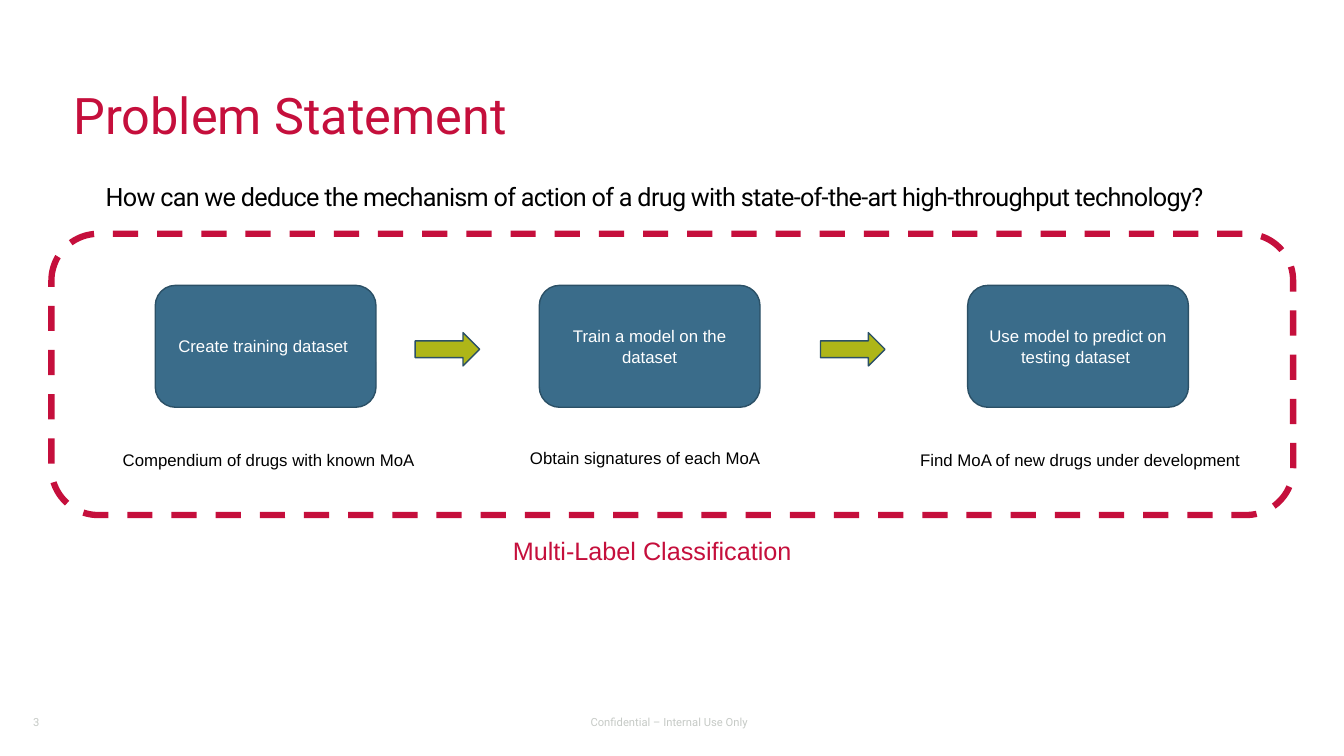
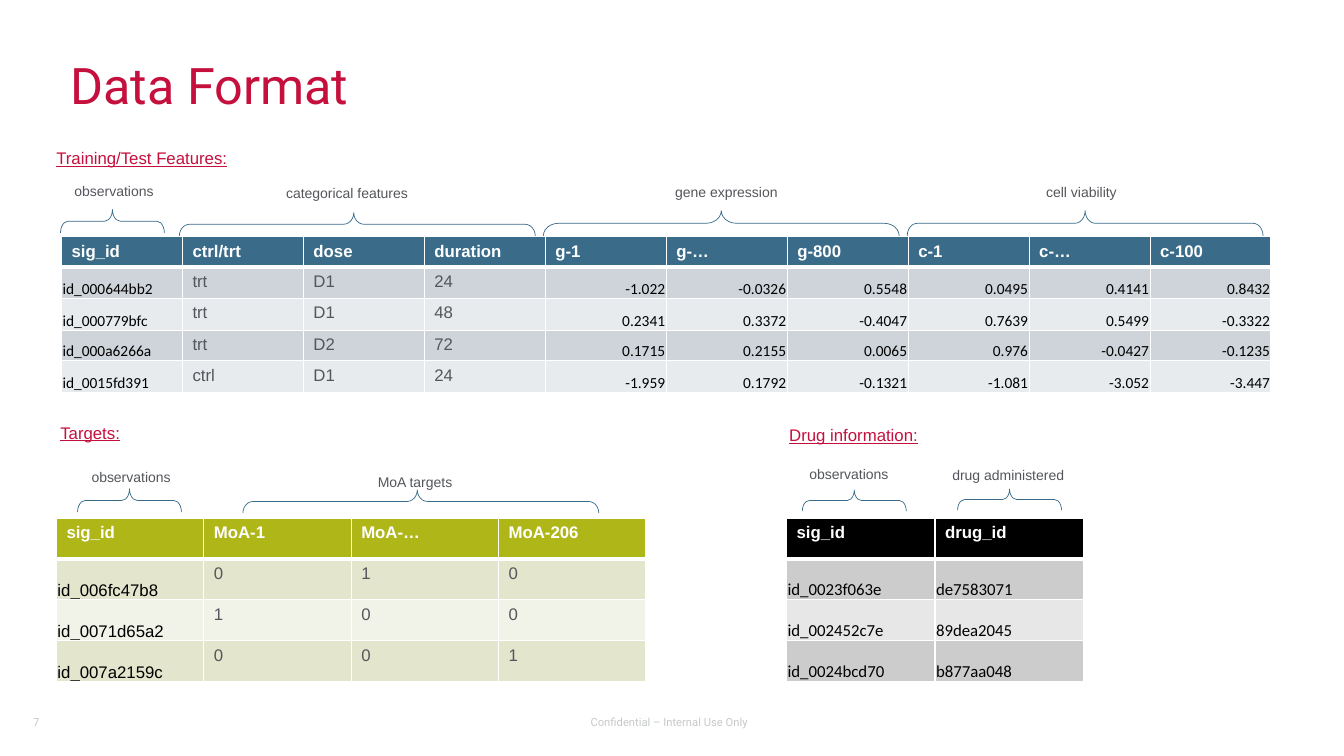
from dataclasses import dataclass
from typing import NamedTuple

from lxml.etree import SubElement
from pptx import Presentation
from pptx.dml.color import RGBColor
from pptx.enum.dml import MSO_LINE
from pptx.enum.shapes import MSO_SHAPE
from pptx.enum.text import MSO_ANCHOR, PP_ALIGN
from pptx.oxml.ns import qn
from pptx.util import Pt

COLORS = {
    "crimson": "C50F3C",
    "blue": "3A6C8A",
    "dark blue": "2B5066",
    "olive": "AEB618",
    "text": "54565B",
    "footer": "C6CAC6",
    "black": "000000",
    "white": "FFFFFF",
    "blue band": "CED4DA",
    "blue band light": "E8EBED",
    "olive band": "E3E5CC",
    "olive band light": "F2F3E8",
    "gray band": "CCCCCC",
    "gray band light": "E7E7E7",
}


class TextStyle(NamedTuple):
    font: dict
    color: str
    paragraph: dict = {}
    frame: dict = {}


MIDDLE = {"vertical_anchor": MSO_ANCHOR.MIDDLE}
CENTER = {"alignment": PP_ALIGN.CENTER}
RIGHT = {"alignment": PP_ALIGN.RIGHT}
TIGHT_BOTTOM = {
    "vertical_anchor": MSO_ANCHOR.BOTTOM,
    "margin_left": Pt(0.75),
    "margin_top": Pt(0.75),
    "margin_right": Pt(0.75),
    "margin_bottom": Pt(0),
}
ARIAL_10, ARIAL_12, ARIAL_18 = ({"name": "Arial", "size": Pt(n)} for n in (10, 12, 18))
CALIBRI_11, CALIBRI_12 = ({"name": "Calibri", "size": Pt(n)} for n in (11, 12))
ROBOTO_8, ROBOTO_18, ROBOTO_36 = ({"name": "Roboto", "size": Pt(n)} for n in (8, 18, 36))

STYLES = {
    "title": TextStyle(ROBOTO_36, "crimson", {"line_spacing": 0.8},
                       {"vertical_anchor": MSO_ANCHOR.BOTTOM}),
    "footer": TextStyle(ROBOTO_8, "footer", CENTER, MIDDLE),
    "page": TextStyle(ROBOTO_8, "footer", {}, MIDDLE),
    "question": TextStyle(ROBOTO_18, "black", {"line_spacing": 1.1, "space_after": Pt(6)}),
    "step": TextStyle(ARIAL_12, "white", CENTER, MIDDLE),
    "caption": TextStyle(ARIAL_12, "black"),
    "method": TextStyle(ARIAL_18, "crimson", {}, {"word_wrap": False}),
    "heading": TextStyle(ARIAL_12 | {"underline": True}, "crimson", {}, {"word_wrap": False}),
    "label": TextStyle(ARIAL_10, "text"),
    "header cell": TextStyle(ARIAL_12 | {"bold": True}, "white"),
    "value cell": TextStyle(ARIAL_12, "text"),
    "number cell": TextStyle(CALIBRI_11, "black", RIGHT, TIGHT_BOTTOM),
    "feature id": TextStyle(CALIBRI_11, "black", {}, TIGHT_BOTTOM),
    "target id": TextStyle(ARIAL_12, "black", {}, TIGHT_BOTTOM),
    "drug id": TextStyle(CALIBRI_12, "black", {}, TIGHT_BOTTOM),
}


@dataclass
class Step:
    left: float
    text: str
    caption: str
    caption_left: float
    caption_top: float
    caption_width: float


@dataclass
class Brace:
    """A brace opening downwards, with its label above; places are those on the slide."""
    center_x: float
    center_y: float
    width: float
    height: float
    curl: float
    tip: float
    label: str
    label_left: float
    label_top: float
    label_width: float


@dataclass
class DataTable:
    heading: str
    heading_left: float
    heading_top: float
    left: float
    top: float
    column_width: float
    row_heights: list[float]
    header_fill: str
    band: str
    column_styles: list[str]
    rows: list[list[str]]


STEPS = [
    Step(110.9, "Create training dataset ", "Compendium of drugs with known MoA", 80.6, 317.5, 228.2),
    Step(385.2, "Train a model on the dataset", "Obtain signatures of each MoA", 371.5, 316.1, 185),
    Step(691.2, "Use model to predict on testing dataset ", "Find MoA of new drugs under development",
         650.2, 317.5, 272.9),
]
STEP_ARROW_LEFTS = [296.6, 586.1]

BRACES = [
    Brace(80.3, 158, 74.2, 16.6, 0.33, 0.5, "observations", 46.1, 126.7, 86.4),
    Brace(255.2, 160.2, 254.2, 16.6, 0.44, 0.51, "categorical features", 197.3, 128.2, 110.2),
    Brace(515.2, 159.5, 254.2, 18, 0.6, 0.5, "gene expression", 475.2, 127.4, 110.2),
    Brace(775.1, 159.5, 254.2, 18, 0.4, 0.5, "cell viability", 740.2, 127.4, 110.2),
    Brace(92.5, 357.5, 74.2, 16.6, 0.33, 0.5, "observations", 58.3, 331.2, 86.4),
    Brace(300.6, 358.2, 254.2, 16.6, 0.44, 0.51, "MoA targets", 262.8, 334.8, 86.4),
    Brace(610.2, 357.5, 74.2, 15.1, 0.33, 0.5, "observations", 571, 329, 78.5),
    Brace(721.1, 356.8, 74.2, 15.1, 0.33, 0.5, "drug administered", 673.2, 329.8, 113),
]

TABLES = [
    DataTable(
        "Training/Test Features:", 33.1, 102.2, 43.9, 169.2, 86.4, [21.6, 22.5, 22.6, 21.8, 22.5],
        "blue", "blue band", ["feature id"] + ["value cell"] * 3 + ["number cell"] * 6,
        [
            ["sig_id", "ctrl/trt", "dose", "duration", "g-1", "g-…", "g-800", "c-1", "c-…", "c-100"],
            ["id_000644bb2", "trt", "D1", "24", "-1.022", "-0.0326", "0.5548", "0.0495", "0.4141", "0.8432"],
            ["id_000779bfc", "trt", "D1", "48", "0.2341", "0.3372", "-0.4047", "0.7639", "0.5499", "-0.3322"],
            ["id_000a6266a", "trt", "D2", "72", "0.1715", "0.2155", "0.0065", "0.976", "-0.0427", "-0.1235"],
            ["id_0015fd391", "ctrl", "D1", "24", "-1.959", "0.1792", "-0.1321", "-1.081", "-3.052", "-3.447"],
        ],
    ),
    DataTable(
        "Targets:", 36, 298.1, 40.3, 370.1, 105.3, [29.2] * 4,
        "olive", "olive band", ["target id"] + ["value cell"] * 3,
        [
            ["sig_id", "MoA-1", "MoA-…", "MoA-206"],
            ["id_006fc47b8", "0", "1", "0"],
            ["id_0071d65a2", "1", "0", "0"],
            ["id_007a2159c", "0", "0", "1"],
        ],
    ),
    DataTable(
        "Drug information:", 556.6, 300.2, 561.8, 370.1, 106.1, [29.2] * 4,
        "black", "gray band", ["drug id"] * 2,
        [
            ["sig_id", "drug_id"],
            ["id_0023f063e", "de7583071"],
            ["id_002452c7e", "89dea2045"],
            ["id_0024bcd70", "b877aa048"],
        ],
    ),
]


def rgb(color: str) -> RGBColor:
    return RGBColor.from_string(COLORS[color])


def apply_format(target, values: dict) -> None:
    for attribute, value in values.items():
        setattr(target, attribute, value)


def write(text_frame, text: str, style_name: str):
    """Fill a text frame in a named style and return its paragraph."""
    style = STYLES[style_name]
    paragraph = text_frame.paragraphs[0]
    run = paragraph.add_run()
    run.text = text
    run.font.color.rgb = rgb(style.color)
    apply_format(run.font, style.font)
    apply_format(paragraph, style.paragraph)
    return paragraph


def add_text(slide, text: str, style_name: str, left: float, top: float, width: float, height: float):
    box = slide.shapes.add_textbox(Pt(left), Pt(top), Pt(width), Pt(height))
    apply_format(box.text_frame, {"word_wrap": True} | STYLES[style_name].frame)
    return write(box.text_frame, text, style_name)


def add_outlined(slide, kind: MSO_SHAPE, left: float, top: float, width: float, height: float,
                 line: str, line_width: float, fill: str | None = None):
    shape = slide.shapes.add_shape(kind, Pt(left), Pt(top), Pt(width), Pt(height))
    shape.shadow.inherit = False
    shape.line.color.rgb = rgb(line)
    shape.line.width = Pt(line_width)
    if fill:
        shape.fill.solid()
        shape.fill.fore_color.rgb = rgb(fill)
    else:
        shape.fill.background()
    return shape


def add_slide(deck, title: str, page: str, left: float, top: float, height: float):
    """Start a slide with its title, footer and page number."""
    slide = deck.slides.add_slide(deck.slide_layouts[6])
    add_text(slide, "Confidential – Internal Use Only", "footer", 370.1, 504, 216, 23)
    add_text(slide, page, "page", 16.6, 504, 216, 23)
    add_text(slide, title, "title", left, top, 864, height)
    return slide


def add_step(slide, step: Step) -> None:
    box = add_outlined(slide, MSO_SHAPE.ROUNDED_RECTANGLE, step.left, 203.8, 157.7, 87.1,
                       "dark blue", 1, "blue")
    apply_format(box.text_frame, {"word_wrap": True} | STYLES["step"].frame)
    write(box.text_frame, step.text, "step")
    add_text(slide, step.caption, "caption", step.caption_left, step.caption_top,
             step.caption_width, 21.6)


def add_brace(slide, brace: Brace) -> None:
    shape = add_outlined(slide, MSO_SHAPE.LEFT_BRACE, brace.center_x - brace.height / 2,
                         brace.center_y - brace.width / 2, brace.height, brace.width, "blue", 0.5)
    shape.rotation = 90
    shape.adjustments[0] = brace.curl
    shape.adjustments[1] = brace.tip
    add_text(slide, brace.label, "label", brace.label_left, brace.label_top, brace.label_width, 19.4)


def set_borders(cell, widths: dict[str, float]) -> None:
    properties = cell._tc.get_or_add_tcPr()
    for index, (side, width) in enumerate(widths.items()):
        line = SubElement(properties, qn(f"a:ln{side}"), w=str(Pt(width)))
        SubElement(SubElement(line, qn("a:solidFill")), qn("a:srgbClr"), val=COLORS["white"])
        properties.insert(index, line)


def add_data_table(slide, data: DataTable) -> None:
    add_text(slide, data.heading, "heading", data.heading_left, data.heading_top, 137.5, 21.6)
    columns = len(data.column_styles)
    table = slide.shapes.add_table(len(data.rows), columns, Pt(data.left), Pt(data.top),
                                   Pt(data.column_width * columns), Pt(sum(data.row_heights))).table
    for column in table.columns:
        column.width = Pt(data.column_width)
    for r, (height, values) in enumerate(zip(data.row_heights, data.rows)):
        table.rows[r].height = Pt(height)
        fill = data.header_fill if r == 0 else data.band if r % 2 else f"{data.band} light"
        for c, value in enumerate(values):
            cell = table.cell(r, c)
            style_name = data.column_styles[c] if r else "header cell"
            cell.fill.solid()
            cell.fill.fore_color.rgb = rgb(fill)
            apply_format(cell, STYLES[style_name].frame)
            write(cell.text_frame, value, style_name)
            set_borders(cell, {"L": 1, "R": 1, "T": 3 if r == 1 else 1, "B": 1 if r else 3})


def build_problem_slide(deck) -> None:
    slide = add_slide(deck, "Problem Statement", "3", 45.4, 28.8, 77.8)
    question = add_text(
        slide, "How can we deduce the mechanism of action of a drug with state-of-the-art "
        "high-throughput technology?", "question", 45.4, 123.8, 864, 40)
    question._p.get_or_add_pPr().set("marL", str(Pt(23)))
    question.runs[0].font._element.set("spc", "-50")
    for step in STEPS:
        add_step(slide, step)
    for left in STEP_ARROW_LEFTS:
        add_outlined(slide, MSO_SHAPE.RIGHT_ARROW, left, 237.6, 46.1, 23.8, "dark blue", 1, "olive")
    frame = add_outlined(slide, MSO_SHAPE.ROUNDED_RECTANGLE, 36.7, 167, 887, 200.9, "crimson", 4.5)
    frame.line.dash_style = MSO_LINE.DASH
    add_text(slide, "Multi-Label Classification", "method", 359.3, 378.7, 215.3, 28.8)


def build_data_slide(deck) -> None:
    slide = add_slide(deck, "Data Format", "7", 43.2, 36, 49)
    for data in TABLES:
        add_data_table(slide, data)
    for brace in BRACES:
        add_brace(slide, brace)


def main() -> None:
    deck = Presentation()
    deck.slide_width, deck.slide_height = Pt(960), Pt(540)
    build_problem_slide(deck)
    build_data_slide(deck)
    deck.save("out.pptx")


if __name__ == "__main__":
    main()
